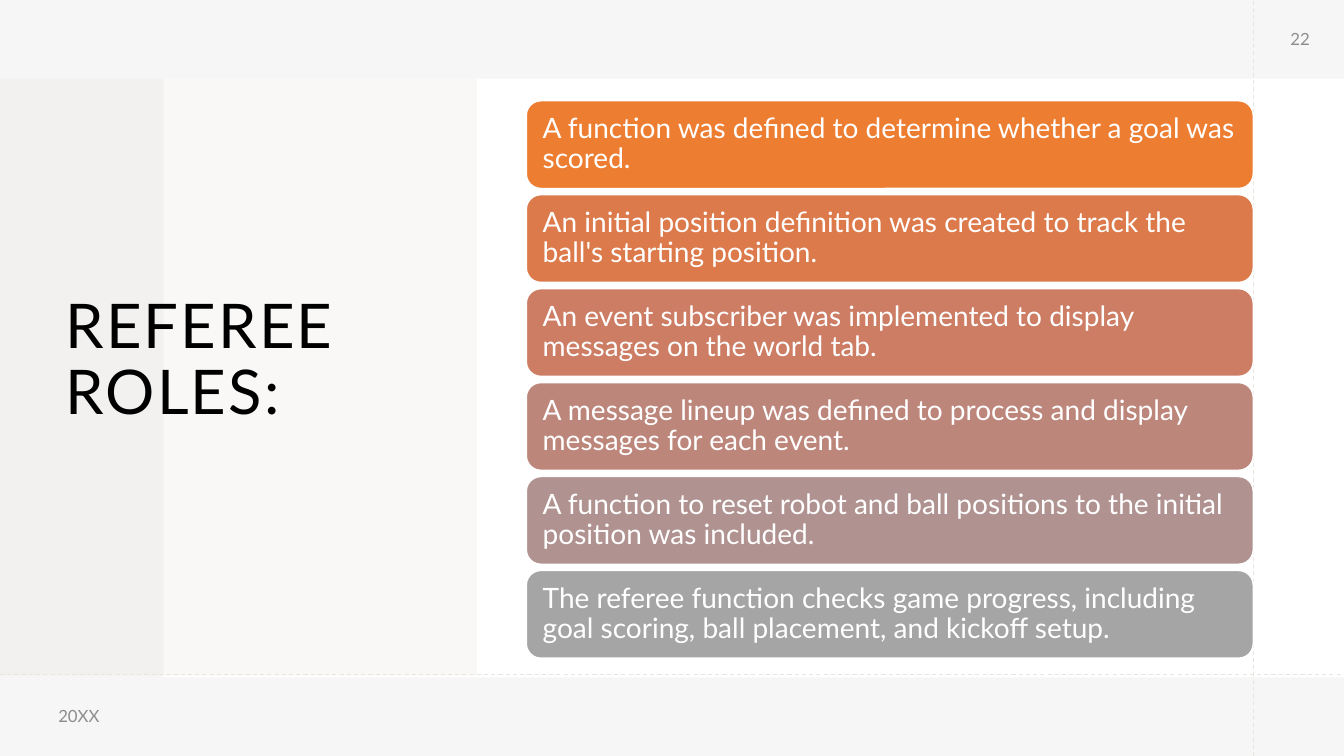
from lxml import etree
from pptx import Presentation
from pptx.dml.color import RGBColor
from pptx.enum.dml import MSO_LINE
from pptx.enum.shapes import MSO_CONNECTOR, MSO_SHAPE
from pptx.enum.text import MSO_ANCHOR, MSO_AUTO_SIZE, PP_ALIGN
from pptx.oxml.ns import qn
from pptx.util import Inches, Pt

COLORS = {
    "white": "FFFFFF", "black": "000000", "grey": "E7E6E6",
    "sand": "E9E6DF", "muted": "8C8C8C",
}
ROLES = [
    ("ED7D31", "A function was defined to determine whether a goal was scored."),
    ("DC7A4B", "An initial position definition was created to track the ball's starting position."),
    ("CC7D64", "An event subscriber was implemented to display messages on the world tab."),
    ("BD867B", "A message lineup was defined to process and display messages for each event."),
    ("B09391", "A function to reset robot and ball positions to the initial position was included."),
    ("A5A5A5", "The referee function checks game progress, including goal scoring, "
               "ball placement, and kickoff setup."),
]
WIDTH, HEIGHT = 13.33, 7.5


class Slide:
    """Current slide together with its text and shape style."""
    font = "Lato"

    def __init__(self, prs):
        self.s = prs.slides.add_slide(prs.slide_layouts[5])

    def rgb(self, color):
        return RGBColor.from_string(COLORS.get(color, color))

    def add_text(self, sp, text, size, color, align=PP_ALIGN.LEFT, inset=None, spacing=None):
        tf = sp.text_frame
        tf.word_wrap = True
        tf.auto_size = MSO_AUTO_SIZE.NONE
        tf.vertical_anchor = MSO_ANCHOR.MIDDLE
        if inset is not None:
            tf.margin_left = tf.margin_right = Inches(inset)
            tf.margin_top = tf.margin_bottom = Inches(inset)
        p = tf.paragraphs[0]
        p.alignment = align
        if spacing:
            p.line_spacing = spacing
        r = p.add_run()
        r.text = text
        r.font.name = self.font
        r.font.size = Pt(size)
        r.font.color.rgb = self.rgb(color)
        return r

    def box(self, x, y, w, h, color, alpha=100, kind=MSO_SHAPE.RECTANGLE):
        sp = self.s.shapes.add_shape(kind, Inches(x), Inches(y), Inches(w), Inches(h))
        sp.shadow.inherit = False
        sp.line.fill.background()
        sp.fill.solid()
        sp.fill.fore_color.rgb = self.rgb(color)
        if alpha < 100:
            clr = sp._element.spPr.find(".//" + qn("a:srgbClr"))
            etree.SubElement(clr, qn("a:alpha"), val=str(alpha * 1000))
        return sp

    def card(self, x, y, w, h, color, text):
        sp = self.box(x, y, w, h, color, kind=MSO_SHAPE.ROUNDED_RECTANGLE)
        sp.line.color.rgb = self.rgb("white")
        sp.line.width = Pt(1)
        self.add_text(sp, text, 20, "white", inset=0.12, spacing=0.9)

    def guide(self, x1, y1, x2, y2):
        cx = self.s.shapes.add_connector(
            MSO_CONNECTOR.STRAIGHT, Inches(x1), Inches(y1), Inches(x2), Inches(y2))
        cx.line.color.rgb = self.rgb("sand")
        cx.line.width = Pt(0.75)
        cx.line.dash_style = MSO_LINE.DASH
        etree.SubElement(cx._element.spPr, qn("a:effectLst"))

    def label(self, x, y, w, h, text, align=PP_ALIGN.LEFT):
        sp = self.s.shapes.add_textbox(Inches(x), Inches(y), Inches(w), Inches(h))
        self.add_text(sp, text, 12, "muted", align)

    def title(self, x, y, w, h, text):
        sp = self.s.shapes.title
        sp.left, sp.top, sp.width, sp.height = Inches(x), Inches(y), Inches(w), Inches(h)
        r = self.add_text(sp, text, 44, "black", spacing=0.9)
        r.font._element.set("spc", "150")
        # Bring the title in front of the panels
        self.s.shapes._spTree.append(sp._element)


def main():
    prs = Presentation()
    prs.slide_width, prs.slide_height = Inches(WIDTH), Inches(HEIGHT)
    slide = Slide(prs)

    # Backdrop and panels
    slide.box(0, 0, WIDTH, HEIGHT, "white")
    slide.box(0, 0, WIDTH, HEIGHT, "grey", alpha=35)
    slide.box(1.62, 0.78, WIDTH - 1.62, 5.94, "white")
    slide.box(0, 0.78, 4.73, 5.92, "sand", alpha=25)

    # Title
    slide.title(0.55, 0.74, 3.95, 5.69, "REFEREE ROLES:")

    # Guides, page number and date
    slide.guide(12.43, HEIGHT, 12.43, 0)
    slide.label(12.45, 0, 0.89, 0.77, "22", PP_ALIGN.CENTER)
    slide.guide(0, 6.69, WIDTH, 6.69)
    slide.label(0.48, 6.71, 3, 0.79, "20XX")

    # Role cards
    top, last = 1, 5.66
    pitch = (last - top) / (len(ROLES) - 1)
    for i, (color, text) in enumerate(ROLES):
        slide.card(5.22, top + i * pitch, 7.21, 0.87, color, text)

    prs.save("out.pptx")


if __name__ == "__main__":
    main()
